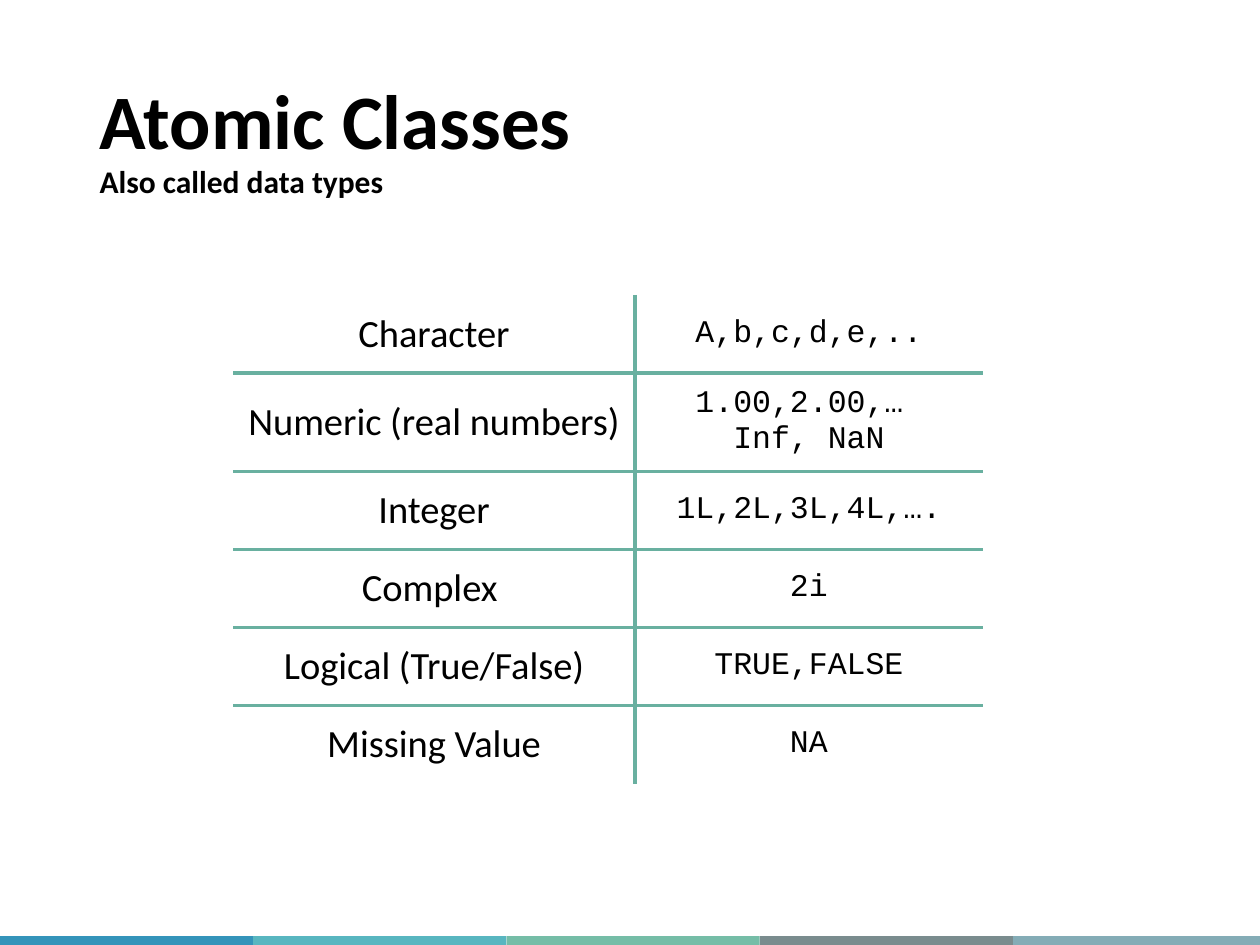
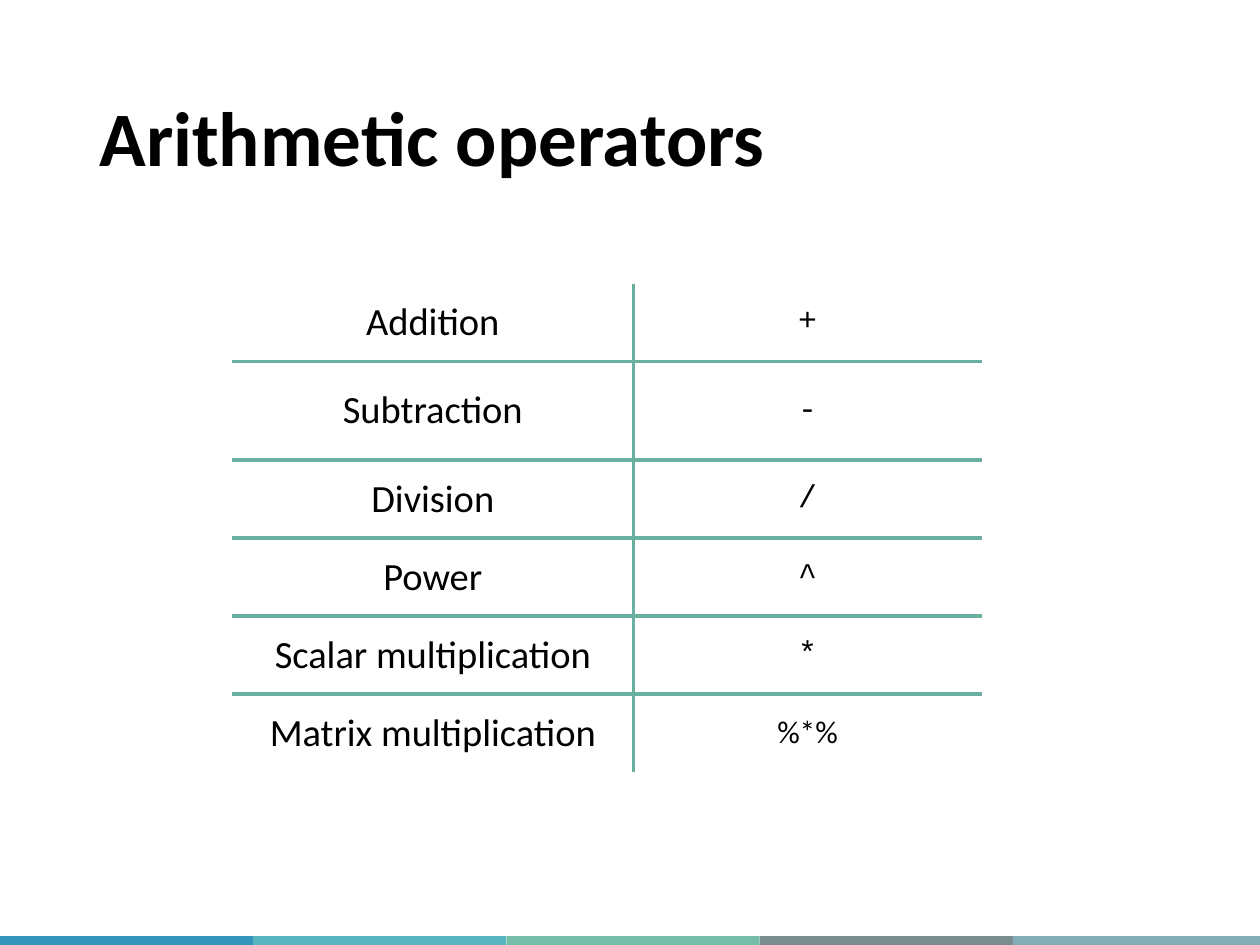
import pptx
import pptx.dml.color
import pptx.enum.shapes
import pptx.enum.text
import pptx.oxml
import pptx.oxml.ns
import pptx.util
from pptx.util import Inches

BAND_COLORS = ["3494BA", "58B6C0", "75BDA7", "7A8C8E", "84ACB6"]
BAND_WIDTH = 2.01
RULE_COLOR = "69B0A0"
RULE_WIDTH = pptx.util.Pt(2.25)
TEXT_COLOR = "000000"
CELL_COLOR = "FFFFFF"
TEXT_FONT = "Calibri"
CODE_FONT = "Courier New"
COLUMN_WIDTHS = [3.19, 2.76]
ROW_HEIGHTS = [0.62, 0.78, 0.62, 0.62, 0.62, 0.62]

ATOMIC_CLASSES = [
    ("Character", "A,b,c,d,e,.."),
    ("Numeric (real numbers)", "1.00,2.00,… \nInf, NaN"),
    ("Integer", "1L,2L,3L,4L,…."),
    ("Complex ", "2i"),
    ("Logical (True/False)", "TRUE,FALSE"),
    ("Missing Value", "NA"),
]
OPERATORS = [
    ("Addition", "+"),
    ("Subtraction", "-"),
    ("Division", "/"),
    ("Power", "^"),
    ("Scalar multiplication", "*"),
    ("Matrix multiplication", "%*%"),
]


def rgb(hex_color):
    return pptx.dml.color.RGBColor.from_string(hex_color)


def add_run(paragraph, text, size, font=TEXT_FONT, bold=False):
    run = paragraph.add_run()
    run.text = text
    run.font.name = font
    run.font.size = pptx.util.Pt(size)
    run.font.bold = bold
    run.font.color.rgb = rgb(TEXT_COLOR)


def add_bands_to_layout(slide):
    """Draw the colour bands and move them to the layout that the slides share."""
    layout_tree = slide.slide_layout.shapes.element
    for index, color in enumerate(BAND_COLORS):
        band = slide.shapes.add_shape(
            pptx.enum.shapes.MSO_SHAPE.RECTANGLE,
            Inches(index * BAND_WIDTH), Inches(7.43), Inches(BAND_WIDTH), Inches(0.1))
        band.shadow.inherit = False
        band.fill.solid()
        band.fill.fore_color.rgb = rgb(color)
        band.line.fill.background()
        band.name = f"Band {index + 1}"
        band.element.nvSpPr.cNvPr.set("id", str(100 + index))
        layout_tree.append(band.element)


def set_title(slide, title, subtitle=None):
    shape = slide.shapes.title
    shape.left, shape.top = Inches(0.69), Inches(0.4)
    shape.width, shape.height = Inches(8.62), Inches(1.45)
    shape.text_frame.vertical_anchor = pptx.enum.text.MSO_ANCHOR.MIDDLE
    paragraph = shape.text_frame.paragraphs[0]
    paragraph.alignment = pptx.enum.text.PP_ALIGN.LEFT
    paragraph.line_spacing = 0.9
    add_run(paragraph, title, 44, bold=True)
    if subtitle:
        paragraph.add_line_break()
        add_run(paragraph, subtitle, 18, bold=True)


def set_borders(cell, visible_sides):
    """Rule the named sides (L, R, T, B) and clear the others."""
    properties = cell._tc.get_or_add_tcPr()
    namespace = pptx.oxml.ns.nsdecls("a")
    for side in "LRTB":
        if side in visible_sides:
            fill = f'<a:solidFill><a:srgbClr val="{RULE_COLOR}"/></a:solidFill>'
        else:
            fill = "<a:noFill/>"
        properties.append(pptx.oxml.parse_xml(
            f'<a:ln{side} {namespace} w="{RULE_WIDTH}">{fill}</a:ln{side}>'))


def fill_cell(cell, text, size, font):
    cell.fill.solid()
    cell.fill.fore_color.rgb = rgb(CELL_COLOR)
    cell.vertical_anchor = pptx.enum.text.MSO_ANCHOR.MIDDLE
    for index, line in enumerate(text.split("\n")):
        frame = cell.text_frame
        paragraph = frame.add_paragraph() if index else frame.paragraphs[0]
        paragraph.alignment = pptx.enum.text.PP_ALIGN.CENTER
        add_run(paragraph, line, size, font)


def add_ruled_table(slide, left, top, rows):
    """Add a two-column table with rules between its cells only."""
    table = slide.shapes.add_table(
        len(rows), 2, Inches(left), Inches(top),
        Inches(sum(COLUMN_WIDTHS)), Inches(sum(ROW_HEIGHTS))).table
    table.first_row = False
    table.horz_banding = False
    for column, width in zip(table.columns, COLUMN_WIDTHS):
        column.width = Inches(width)
    for index, (label, code) in enumerate(rows):
        table.rows[index].height = Inches(ROW_HEIGHTS[index])
        sides = ("T" if index > 0 else "") + ("B" if index < len(rows) - 1 else "")
        label_cell, code_cell = table.cell(index, 0), table.cell(index, 1)
        set_borders(label_cell, "R" + sides)
        set_borders(code_cell, "L" + sides)
        fill_cell(label_cell, label, 22, TEXT_FONT)
        fill_cell(code_cell, code, 18, TEXT_FONT if code == "%*%" else CODE_FONT)


def main():
    presentation = pptx.Presentation()
    presentation.slide_width = Inches(10)
    presentation.slide_height = Inches(7.5)
    title_only = presentation.slide_layouts[5]

    classes_slide = presentation.slides.add_slide(title_only)
    add_bands_to_layout(classes_slide)
    set_title(classes_slide, "Atomic Classes", "Also called data types")
    add_ruled_table(classes_slide, 1.85, 2.34, ATOMIC_CLASSES)

    operators_slide = presentation.slides.add_slide(title_only)
    set_title(operators_slide, "Arithmetic operators")
    add_ruled_table(operators_slide, 1.84, 2.25, OPERATORS)

    presentation.save("out.pptx")


if __name__ == "__main__":
    main()
